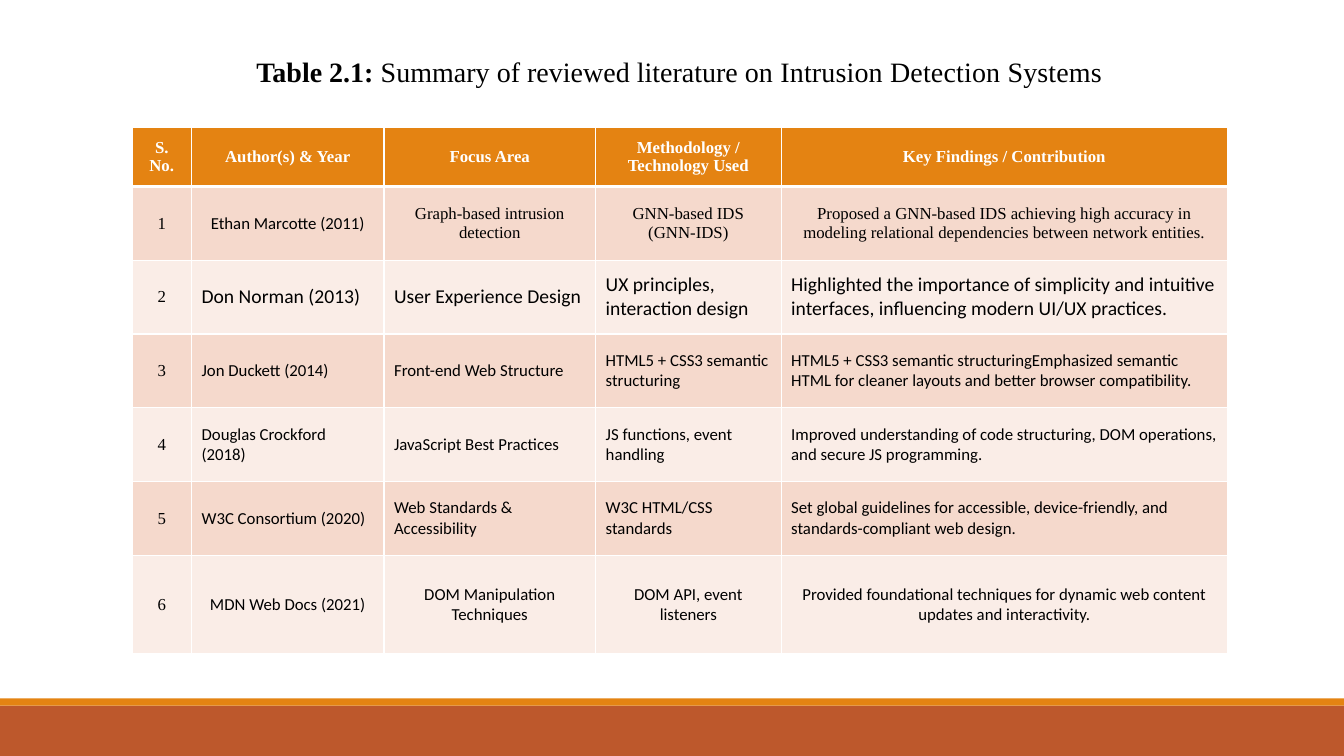
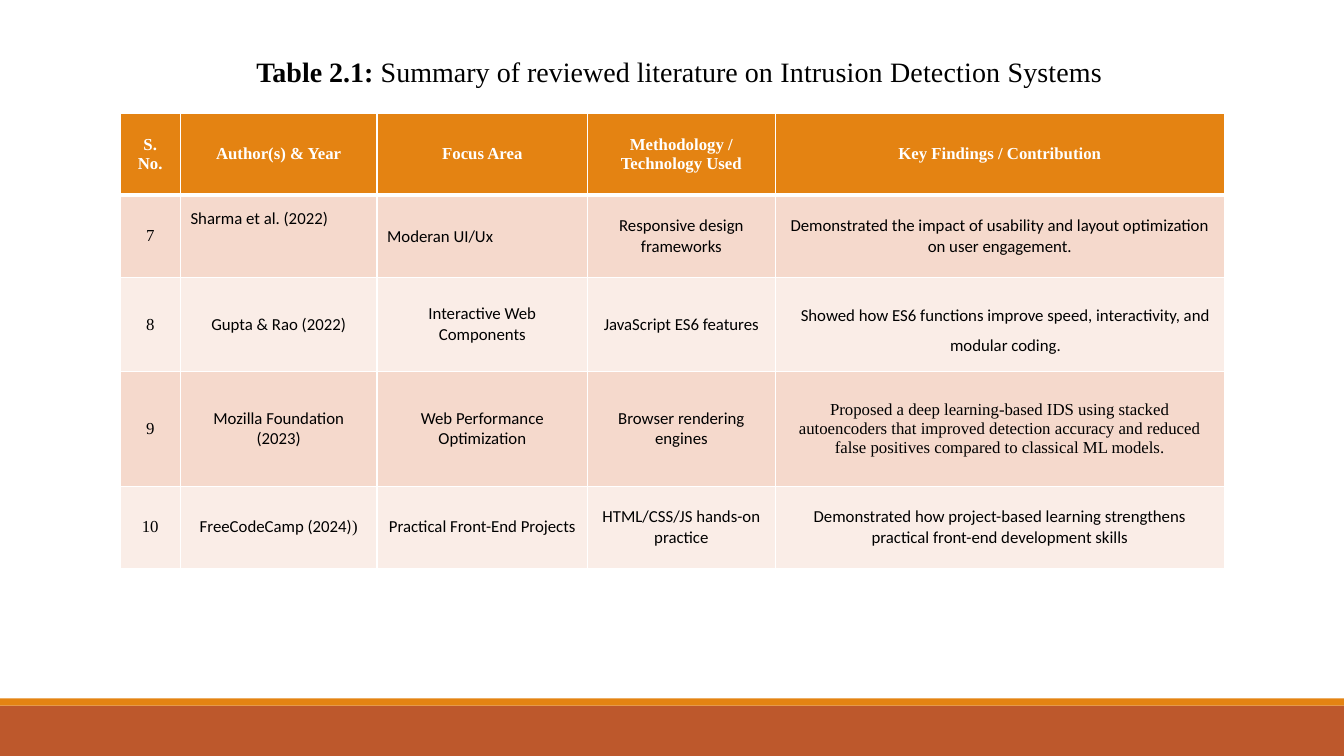
from lxml import etree
from pptx import Presentation
from pptx.dml.color import RGBColor
from pptx.enum import shapes, text
from pptx.oxml import ns
from pptx.util import Pt

RUST = RGBColor(0xBD, 0x58, 0x2C)
AMBER = RGBColor(0xE4, 0x83, 0x12)
PEACH = RGBColor(0xF5, 0xD9, 0xCC)
BLUSH = RGBColor(0xFA, 0xED, 0xE7)
WHITE = RGBColor(0xFF, 0xFF, 0xFF)
BLACK = RGBColor(0, 0, 0)

SERIF = "Times New Roman"
SANS = "Calibri"
LEFT = text.PP_ALIGN.LEFT
MID = text.PP_ALIGN.CENTER


def write(frame, copy, face=SANS, size=12, ink=BLACK, bold=False,
          align=MID, lead=None, track=None):
    for i, line in enumerate(copy.split("\n")):
        par = frame.add_paragraph() if i else frame.paragraphs[-1]
        par.alignment = align
        if lead:
            par.line_spacing = lead
        run = par.add_run()
        run.text = line
        font = run.font
        font.name, font.size, font.bold = face, Pt(size), bold
        font.color.rgb = ink
        if track:
            run._r.get_or_add_rPr().set("spc", str(track))


def edge(cell, base):
    props = cell._tc.get_or_add_tcPr()
    sides = [("L", 1), ("R", 1), ("T", 1), ("B", base)]
    for i, (side, wide) in enumerate(sides):
        line = etree.Element(ns.qn("a:ln" + side), w=str(Pt(wide)))
        fill = etree.SubElement(line, ns.qn("a:solidFill"))
        etree.SubElement(fill, ns.qn("a:srgbClr"), val=str(WHITE))
        props.insert(i, line)


HEAD = ["S. No.", "Author(s) & Year", "Focus Area",
        "Methodology /\nTechnology Used", "Key Findings / Contribution"]

ROWS = [
    ["Ethan Marcotte (2011)", "Graph-based intrusion detection",
     "GNN-based IDS\n(GNN-IDS)",
     "Proposed a GNN-based IDS achieving high accuracy in modeling "
     "relational dependencies between network entities."],
    ["Don Norman (2013)", "User Experience Design",
     "UX principles, interaction design",
     "Highlighted the importance of simplicity and intuitive interfaces, "
     "influencing modern UI/UX practices."],
    ["Jon Duckett (2014)", "Front-end Web Structure",
     "HTML5 + CSS3 semantic structuring",
     "HTML5 + CSS3 semantic structuringEmphasized semantic HTML for "
     "cleaner layouts and better browser compatibility."],
    ["Douglas Crockford (2018)", "JavaScript Best Practices",
     "JS functions, event handling",
     "Improved understanding of code structuring, DOM operations, and "
     "secure JS programming."],
    ["W3C Consortium (2020)", "Web Standards & Accessibility",
     "W3C HTML/CSS standards",
     "Set global guidelines for accessible, device-friendly, and "
     "standards-compliant web design."],
    ["MDN Web Docs (2021)", "DOM Manipulation Techniques",
     "DOM API, event listeners",
     "Provided foundational techniques for dynamic web content updates "
     "and interactivity."],
    ["Sharma et al. (2022)", "Moderan UI/Ux",
     "Responsive design frameworks",
     "Demonstrated the impact of usability and layout optimization on "
     "user engagement."],
    ["Gupta & Rao (2022)", "Interactive Web Components",
     "JavaScript ES6 features",
     "Showed how ES6 functions improve speed, interactivity, and modular "
     "coding."],
    ["Mozilla Foundation (2023)", "Web Performance Optimization",
     "Browser rendering engines",
     "Proposed a deep learning-based IDS using stacked autoencoders that "
     "improved detection accuracy and reduced false positives compared "
     "to classical ML models."],
    ["FreeCodeCamp (2024)", "Practical Front-End Projects",
     "HTML/CSS/JS hands-on practice",
     "Demonstrated how project-based learning strengthens practical "
     "front-end development skills"],
]

LOOKS = {(num, col): {"align": LEFT} for num in range(2, 6)
         for col in range(1, 5)}
for col in range(1, 5):
    LOOKS[2, col]["size"] = 14
for spot in [(1, 2), (1, 3), (1, 4), (9, 4)]:
    LOOKS[spot] = {"face": SERIF}
LOOKS[7, 1] = {"align": LEFT, "lead": 1.5}
LOOKS[7, 2] = {"align": LEFT}
LOOKS[8, 4] = {"lead": 1.5}

INSETS = {(7, 1): (7.2, 2.2), (8, 4): (8, 1.9)}

PAGES = [
    {"first": 1, "at": (94.3, 90.7),
     "cols": [42.5, 137.5, 151.2, 132.5, 319],
     "rows": [42.5] + [52.7] * 5 + [70.4]},
    {"first": 7, "at": (85.7, 80.8),
     "cols": [43.2, 140.4, 150.5, 133.9, 321.1],
     "rows": [58.7, 58.7, 67.1, 82, 58.7]},
]

deck = Presentation()
deck.slide_width, deck.slide_height = Pt(960), Pt(540)

for page in PAGES:
    slide = deck.slides.add_slide(deck.slide_layouts[6])

    for top, high, tint in [(504, 36, RUST), (498.8, 5.2, AMBER)]:
        band = slide.shapes.add_shape(
            shapes.MSO_SHAPE.RECTANGLE, 0, Pt(top), Pt(960), Pt(high))
        band.shadow.inherit = False
        band.fill.solid()
        band.fill.fore_color.rgb = tint
        band.line.fill.background()

    title = slide.shapes.add_textbox(
        Pt(69.8), Pt(35.3), Pt(831), Pt(31.7)).text_frame
    title.word_wrap = True
    write(title, "Table 2.1: ", face=SERIF, size=20, bold=True)
    write(title, "Summary of reviewed literature on ", face=SERIF, size=20)
    write(title, "Intrusion Detection Systems", face=SERIF, size=20, track=10)

    cols, rows = page["cols"], page["rows"]
    left, top = page["at"]
    grid = slide.shapes.add_table(
        len(rows), len(cols), Pt(left), Pt(top),
        Pt(sum(cols)), Pt(sum(rows))).table
    grid.horz_banding = False
    for col, wide in zip(grid.columns, cols):
        col.width = Pt(wide)

    for r, high in enumerate(rows):
        grid.rows[r].height = Pt(high)
        num = page["first"] + r - 1
        line = [str(num)] + ROWS[num - 1] if r else HEAD
        tint = (PEACH if r % 2 else BLUSH) if r else AMBER
        for c, copy in enumerate(line):
            cell = grid.cell(r, c)
            cell.vertical_anchor = text.MSO_ANCHOR.MIDDLE
            cell.fill.solid()
            cell.fill.fore_color.rgb = tint
            edge(cell, 1 if r else 3)
            if not r:
                look = {"face": SERIF, "ink": WHITE, "bold": True}
            elif not c:
                look = {"face": SERIF}
            else:
                look = LOOKS.get((num, c), {})
            write(cell.text_frame, copy, **look)
            if r and (num, c) in INSETS:
                side, head = INSETS[num, c]
                cell.margin_left, cell.margin_top = Pt(side), Pt(head)
                cell.margin_right = cell.margin_bottom = 0
            if r and (num, c) == (7, 1):
                cell.vertical_anchor = text.MSO_ANCHOR.TOP
            if r and (num, c) == (10, 1):
                write(cell.text_frame, ")", face=SERIF)

deck.save("out.pptx")
